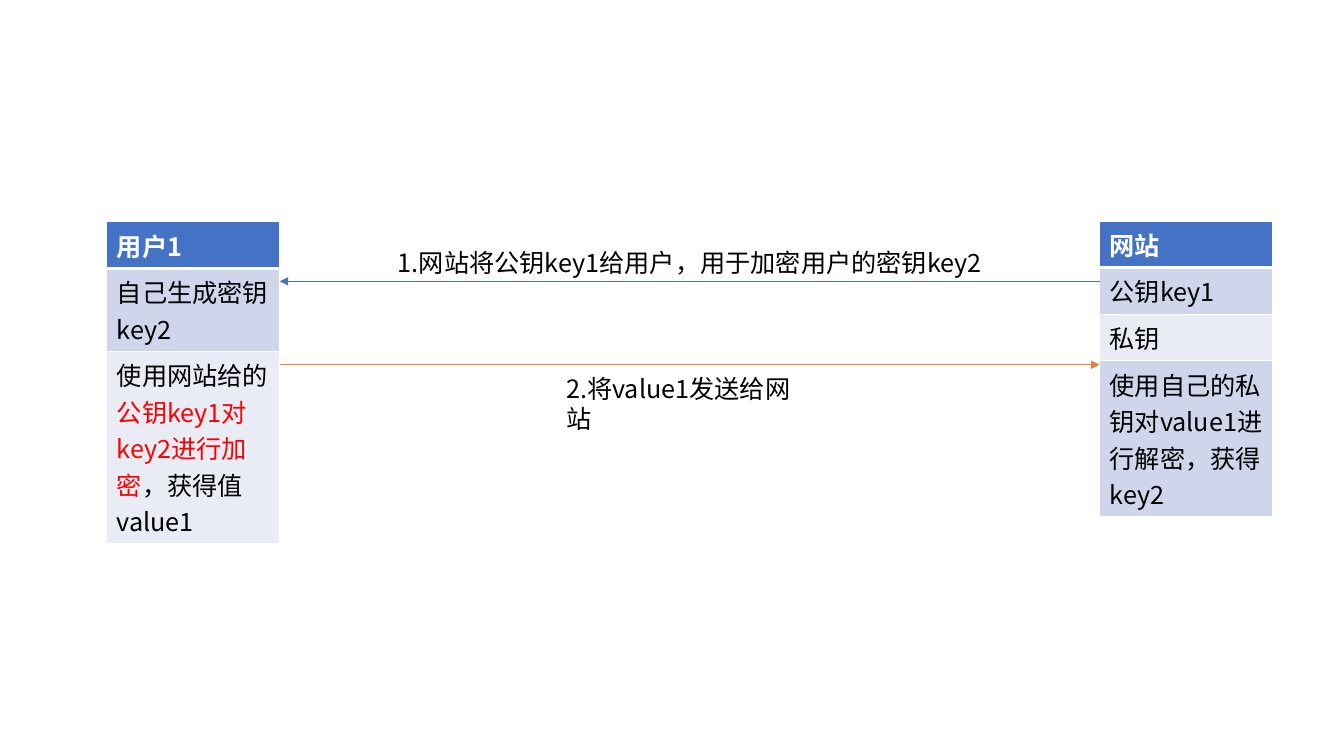
import pptx
import pptx.dml.color
import pptx.enum.shapes
import pptx.enum.text
import pptx.oxml.ns
import pptx.util
from lxml import etree

Cm = pptx.util.Cm
Pt = pptx.util.Pt
qn = pptx.oxml.ns.qn
FONT = "Noto Sans CJK SC"
BLUE, ORANGE, RED = "4472C4", "ED7D31", "FF0000"
BLACK, WHITE = "000000", "FFFFFF"
BANDS = ["CFD5EA", "E9EBF5"]

# Edges shared by the tables and the arrows
LEFT, RIGHT, WIDE, ROW = 2.69, 27.71, 4.36, 1.04


def color(code):
    return pptx.dml.color.RGBColor.from_string(code)


def style(run, code=BLACK, bold=False):
    font = run.font
    font.name, font.size, font.bold = FONT, Pt(18), bold
    font.color.rgb = color(code)
    east = etree.SubElement(run._r.get_or_add_rPr(), qn("a:ea"))
    east.set("typeface", FONT)


def border(cell, row):
    props = cell._tc.get_or_add_tcPr()
    sizes = {"L": 1, "R": 1, "T": 3 if row == 1 else 1, "B": 3 if row == 0 else 1}
    for spot, (side, size) in enumerate(sizes.items()):
        line = etree.Element(qn("a:ln" + side), w=str(Pt(size)))
        fill = etree.SubElement(line, qn("a:solidFill"))
        etree.SubElement(fill, qn("a:srgbClr"), val=WHITE)
        props.insert(spot, line)


def table(slide, left, top, rows):
    # Each row is a list of (text, color) parts; the first row is the header
    frame = slide.shapes.add_table(
        len(rows), 1, Cm(left), Cm(top), Cm(WIDE), Cm(ROW * len(rows)))
    for row, parts in enumerate(rows):
        cell = frame.table.cell(row, 0)
        cell.fill.solid()
        cell.fill.fore_color.rgb = color(BANDS[(row - 1) % 2] if row else BLUE)
        border(cell, row)
        for text, code in parts:
            run = cell.text_frame.paragraphs[0].add_run()
            run.text = text
            style(run, code, bold=row == 0)


def arrow(slide, start, end, top, code):
    line = slide.shapes.add_connector(
        pptx.enum.shapes.MSO_CONNECTOR.STRAIGHT, Cm(start), Cm(top), Cm(end), Cm(top))
    line.line.color.rgb = color(code)
    line.line.width = Pt(0.5)
    props = line._element.spPr
    etree.SubElement(props.find(qn("a:ln")), qn("a:tailEnd"), type="triangle")
    etree.SubElement(props, qn("a:effectLst"))


def label(slide, left, top, width, text):
    box = slide.shapes.add_textbox(Cm(left), Cm(top), Cm(width), Cm(1.03))
    frame = box.text_frame
    frame.word_wrap = True
    frame.auto_size = pptx.enum.text.MSO_AUTO_SIZE.SHAPE_TO_FIT_TEXT
    frame.text = text
    style(frame.paragraphs[0].runs[0])


def main():
    deck = pptx.Presentation()
    deck.slide_width, deck.slide_height = Cm(33.87), Cm(19.05)
    slide = deck.slides.add_slide(deck.slide_layouts[6])

    # The two parties
    table(slide, LEFT, 5.59, [
        [("用户1", WHITE)],
        [("自己生成密钥key2", BLACK)],
        [("使用网站给的", BLACK), ("公钥key1对key2进行加密", RED),
         ("，获得值value1", BLACK)],
    ])
    table(slide, RIGHT, 5.57, [
        [("网站", WHITE)],
        [("公钥key1", BLACK)],
        [("私钥", BLACK)],
        [("使用自己的私钥对value1进行解密，获得key2", BLACK)],
    ])

    # The messages between them
    arrow(slide, RIGHT, LEFT + WIDE, 7.09, BLUE)
    label(slide, 9.78, 6.1, 15.24, "1.网站将公钥key1给用户，用于加密用户的密钥key2")
    arrow(slide, LEFT + WIDE, RIGHT, 9.19, ORANGE)
    label(slide, 14.02, 9.27, 6.71, "2.将value1发送给网站")

    deck.save("out.pptx")


if __name__ == "__main__":
    main()
